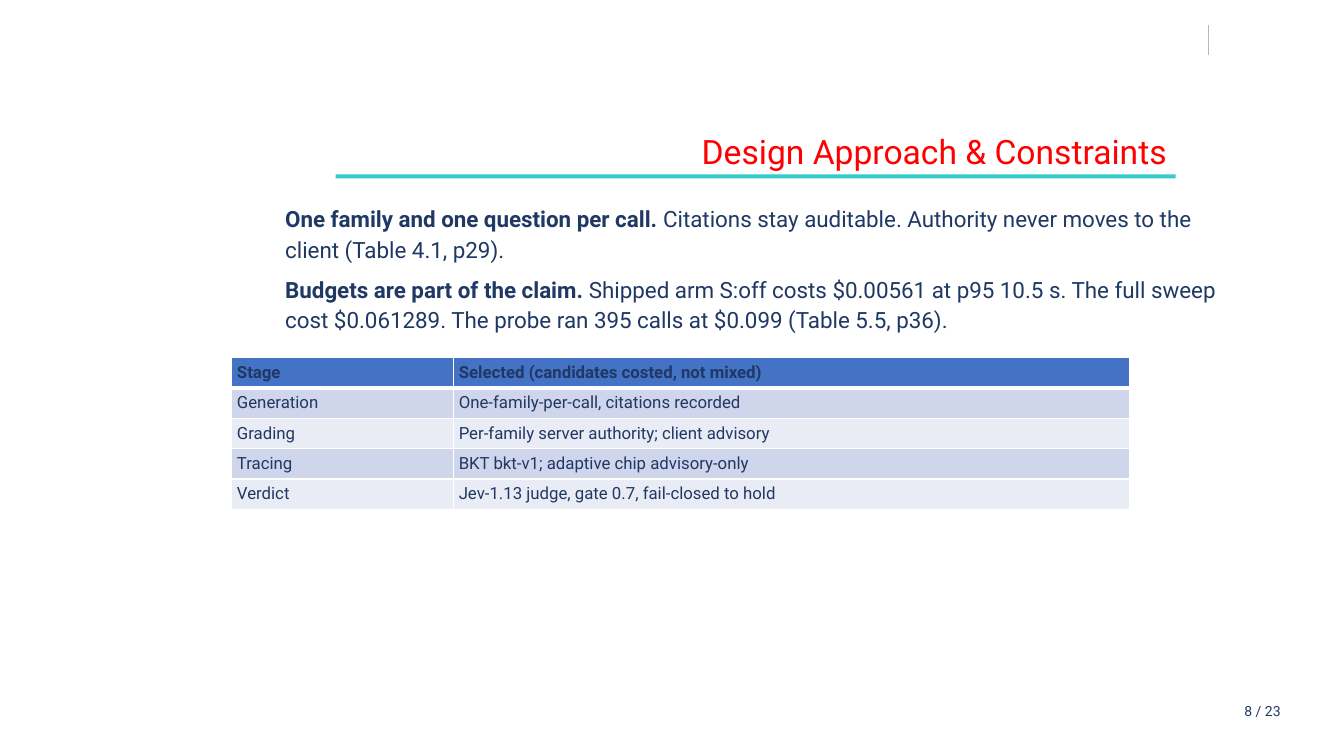
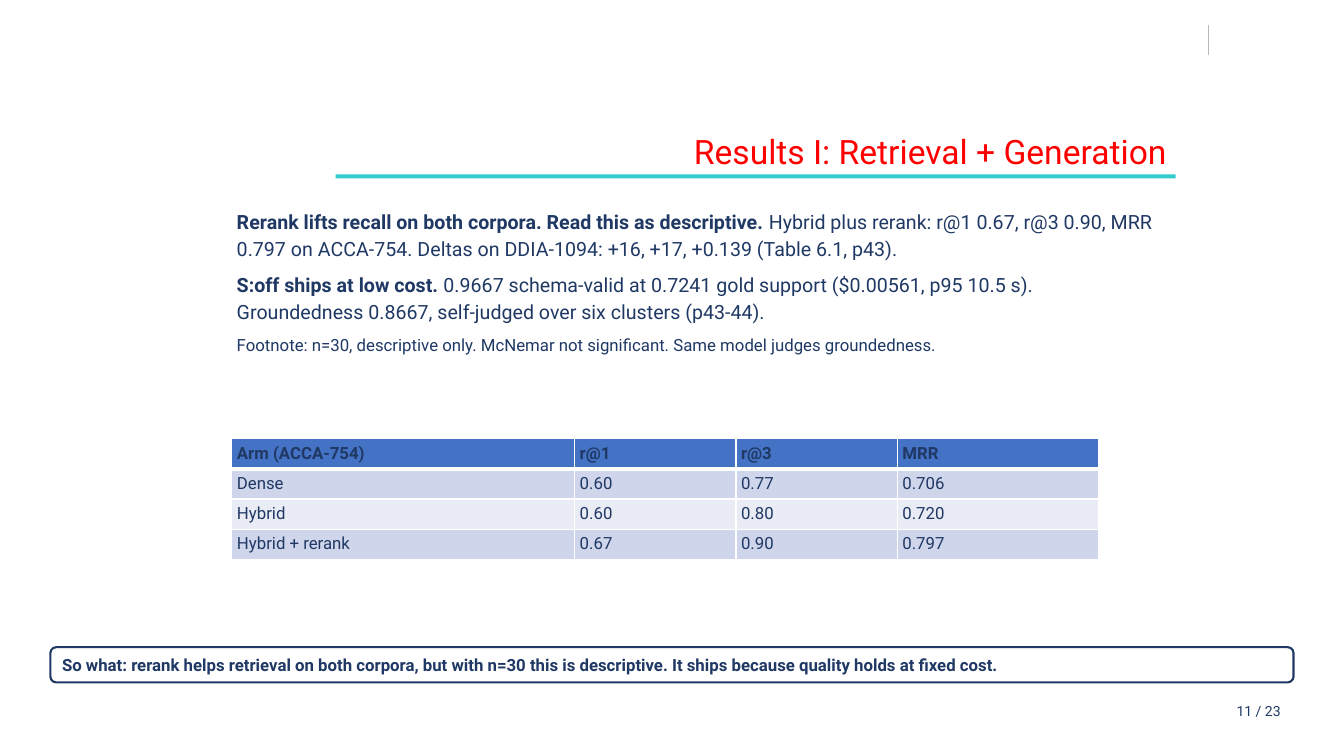
from pptx import Presentation
from pptx.dml.color import RGBColor
from pptx.enum.shapes import MSO_CONNECTOR, MSO_SHAPE
from pptx.enum.text import MSO_ANCHOR, PP_ALIGN
from pptx.oxml.ns import qn
from pptx.util import Inches, Pt
from lxml.etree import SubElement

NAVY = RGBColor(0x1F, 0x38, 0x64)
RED = RGBColor(0xFF, 0x00, 0x00)
TEAL = RGBColor(0x33, 0xCC, 0xCC)
GREY = RGBColor(0xB7, 0xB7, 0xB7)
WHITE = RGBColor(0xFF, 0xFF, 0xFF)
BLUE = RGBColor(0x44, 0x72, 0xC4)
BANDS = [RGBColor(0xCF, 0xD5, 0xEA), RGBColor(0xE9, 0xEB, 0xF5)]
FONT = "Roboto"
TOTAL = 23
ROW = 0.29

BODY = {"line_spacing": 1.15, "space_after": Pt(6)}
RIGHT = {"alignment": PP_ALIGN.RIGHT}
LEFT = {"alignment": PP_ALIGN.LEFT}
CELL = {"margin_left": Inches(0.05), "margin_right": Inches(0.05),
        "margin_top": Inches(0.05), "margin_bottom": Inches(0.05)}


def apply(target, values):
    for name, value in values.items():
        setattr(target, name, value)


def add_run(para, text, size, color=NAVY, bold=False):
    run = para.add_run()
    run.text = text
    apply(run.font, {"name": FONT, "size": Pt(size), "bold": bold})
    run.font.color.rgb = color


def add_label(slide, box, text, size, color=NAVY):
    """Add one line of right-aligned text."""
    frame = slide.shapes.add_textbox(*map(Inches, box)).text_frame
    frame.word_wrap = True
    para = frame.paragraphs[0]
    apply(para, RIGHT)
    add_run(para, text, size, color)


def add_body(slide, box, items, indent=0):
    """Add paragraphs given as (bold lead, plain text, size)."""
    frame = slide.shapes.add_textbox(*map(Inches, box)).text_frame
    frame.word_wrap = True
    for index, (lead, text, size) in enumerate(items):
        para = frame.add_paragraph() if index else frame.paragraphs[0]
        para._p.get_or_add_pPr().set("marL", str(Inches(indent)))
        apply(para, BODY)
        if lead:
            add_run(para, lead, size, bold=True)
        add_run(para, text, size)


def add_edges(cell, widths):
    props = cell._tc.get_or_add_tcPr()
    for side, width in widths.items():
        edge = SubElement(props, qn(f"a:ln{side}"), w=str(Pt(width)))
        fill = SubElement(edge, qn("a:solidFill"))
        SubElement(fill, qn("a:srgbClr"), val=str(WHITE))


def add_grid(slide, left, top, widths, rows):
    """Add a table with a header row and banded rows below it."""
    size = (sum(widths), ROW * len(rows))
    table = slide.shapes.add_table(
        len(rows), len(widths), *map(Inches, (left, top, *size))).table
    for column, width in zip(table.columns, widths):
        column.width = Inches(width)
    for r, row in enumerate(rows):
        table.rows[r].height = Inches(ROW)
        head = r == 0
        for c, text in enumerate(row):
            cell = table.cell(r, c)
            apply(cell, CELL)
            add_run(cell.text_frame.paragraphs[0], text, 12, bold=head)
            add_edges(cell, {"L": 1, "R": 1, "T": 3 if r == 1 else 1,
                             "B": 3 if head else 1})
            cell.fill.solid()
            cell.fill.fore_color.rgb = BLUE if head else BANDS[(r - 1) % 2]


def add_panel(slide, kind, box, fill, line=None):
    shape = slide.shapes.add_shape(kind, *map(Inches, box))
    shape.shadow.inherit = False
    shape.fill.solid()
    shape.fill.fore_color.rgb = fill
    if line:
        shape.line.color.rgb = line
        shape.line.width = Pt(1.5)
    else:
        shape.line.fill.background()
    return shape


def add_callout(slide, text):
    box = (0.5, 6.42, 12.33, 0.35)
    shape = add_panel(slide, MSO_SHAPE.ROUNDED_RECTANGLE, box, WHITE, NAVY)
    frame = shape.text_frame
    apply(frame, {"word_wrap": True, "vertical_anchor": MSO_ANCHOR.MIDDLE})
    para = frame.paragraphs[0]
    apply(para, LEFT)
    add_run(para, text, 12, bold=True)


def add_tick(slide):
    """Add the short grey line at the top right."""
    ends = map(Inches, (11.99, 0.25, 11.99, 0.55))
    tick = slide.shapes.add_connector(MSO_CONNECTOR.STRAIGHT, *ends)
    tick.line.color.rgb = GREY
    tick.line.width = Pt(0.75)
    SubElement(tick._element.spPr, qn("a:effectLst"))


def add_page(deck, title, number):
    """Add a slide with the shared tick, title, rule and page number."""
    slide = deck.slides.add_slide(deck.slide_layouts[6])
    add_tick(slide)
    add_panel(slide, MSO_SHAPE.RECTANGLE, (3.33, 1.73, 8.33, 0.04), TEAL)
    add_label(slide, (3.17, 1.25, 8.5, 0.5), title, 24, RED)
    add_label(slide, (11.2, 6.92, 1.6, 0.25), f"{number} / {TOTAL}", 10)
    return slide


def add_design(deck):
    slide = add_page(deck, "Design Approach & Constraints", 8)
    add_body(slide, (2.23, 1.95, 10.02, 5.2), [
        ("One family and one question per call. ",
         "Citations stay auditable. Authority never moves to the client "
         "(Table 4.1, p29).", 16),
        ("Budgets are part of the claim. ",
         "Shipped arm S:off costs $0.00561 at p95 10.5 s. The full sweep "
         "cost $0.061289. The probe ran 395 calls at $0.099 "
         "(Table 5.5, p36).", 16),
    ], indent=0.5)
    add_grid(slide, 2.3, 3.55, [2.2, 6.7], [
        ("Stage", "Selected (candidates costed, not mixed)"),
        ("Generation", "One-family-per-call, citations recorded"),
        ("Grading", "Per-family server authority; client advisory"),
        ("Tracing", "BKT bkt-v1; adaptive chip advisory-only"),
        ("Verdict", "Jev-1.13 judge, gate 0.7, fail-closed to hold"),
    ])


def add_results(deck):
    slide = add_page(deck, "Results I: Retrieval + Generation", 11)
    add_body(slide, (2.25, 2, 9.4, 2.71), [
        ("Rerank lifts recall on both corpora. Read this as descriptive. ",
         "Hybrid plus rerank: r@1 0.67, r@3 0.90, MRR 0.797 on ACCA-754. "
         "Deltas on DDIA-1094: +16, +17, +0.139 (Table 6.1, p43).", 14),
        ("S:off ships at low cost. ",
         "0.9667 schema-valid at 0.7241 gold support ($0.00561, p95 10.5 s). "
         "Groundedness 0.8667, self-judged over six clusters (p43-44).", 14),
        ("", "Footnote: n=30, descriptive only. McNemar not significant. "
         "Same model judges groundedness.", 12),
    ])
    add_grid(slide, 2.3, 4.35, [3.4, 1.6, 1.6, 2], [
        ("Arm (ACCA-754)", "r@1", "r@3", "MRR"),
        ("Dense", "0.60", "0.77", "0.706"),
        ("Hybrid", "0.60", "0.80", "0.720"),
        ("Hybrid + rerank", "0.67", "0.90", "0.797"),
    ])
    add_callout(slide, "So what: rerank helps retrieval on both corpora, but "
                "with n=30 this is descriptive. It ships because quality "
                "holds at fixed cost.")


def main():
    deck = Presentation()
    apply(deck, {"slide_width": Inches(13.33), "slide_height": Inches(7.5)})
    add_design(deck)
    add_results(deck)
    deck.save("out.pptx")


if __name__ == "__main__":
    main()
